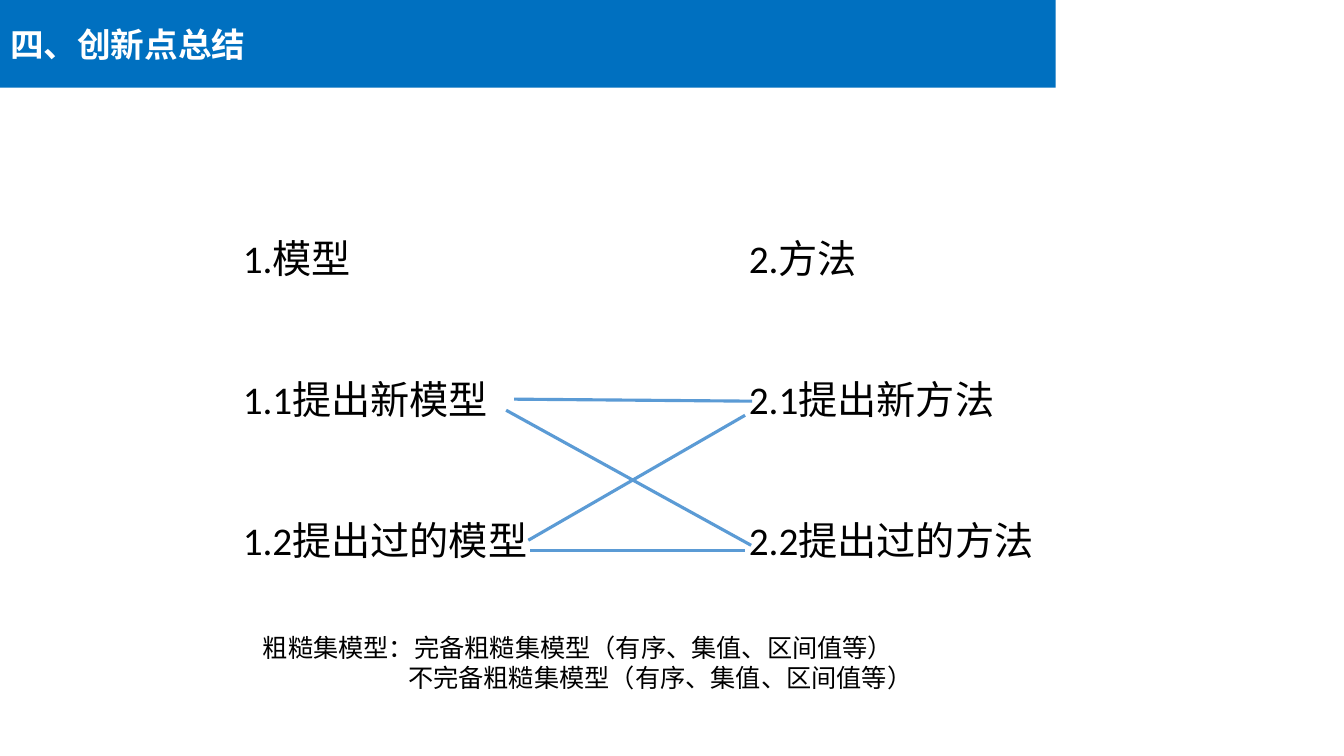
from dataclasses import dataclass

from lxml.etree import SubElement
from pptx import Presentation
from pptx.dml.color import RGBColor
from pptx.enum.shapes import MSO_CONNECTOR
from pptx.enum.text import MSO_ANCHOR, MSO_AUTO_SIZE, PP_ALIGN
from pptx.oxml.ns import qn
from pptx.util import Pt

PX = 9144  # EMU per px, 100 px to the inch


@dataclass(frozen=True)
class Theme:
    font: str = "Calibri"
    banner: RGBColor = RGBColor(0x00, 0x70, 0xC0)
    line: RGBColor = RGBColor(0x5B, 0x9B, 0xD5)
    text: RGBColor = RGBColor(0x00, 0x00, 0x00)
    title_text: RGBColor = RGBColor(0xFF, 0xFF, 0xFF)
    title_size: int = 24
    body_size: int = 28
    note_size: int = 18
    line_width: float = 2.25
    item_gap: int = 67


class SlideBuilder:
    def __init__(self, prs, theme):
        self.theme = theme
        self.s = prs.slides.add_slide(prs.slide_layouts[5])

    def run(self, p, text, size, color, bold=False):
        r = p.add_run()
        r.text = text
        r.font.name = self.theme.font
        r.font.size = Pt(size)
        r.font.bold = bold
        r.font.color.rgb = color

    def title(self, text, x, y, w, h):
        t = self.theme
        sp = self.s.shapes.title
        sp.left, sp.top, sp.width, sp.height = (v * PX for v in (x, y, w, h))
        sp.fill.solid()
        sp.fill.fore_color.rgb = t.banner
        tf = sp.text_frame
        tf.word_wrap = True
        tf.auto_size = MSO_AUTO_SIZE.NONE
        tf.vertical_anchor = MSO_ANCHOR.MIDDLE
        p = tf.paragraphs[0]
        p.alignment = PP_ALIGN.LEFT
        self.run(p, text, t.title_size, t.title_text, bold=True)

    def text(self, lines, x, y, w, h, size, gap=0, indent=0):
        """Add a text box; gap (pt) and indent (px) apply after the first line."""
        sp = self.s.shapes.add_textbox(*(v * PX for v in (x, y, w, h)))
        tf = sp.text_frame
        tf.word_wrap = True
        for i, line in enumerate(lines):
            p = tf.add_paragraph() if i else tf.paragraphs[0]
            if i and gap:
                p.space_before = Pt(gap)
            if i and indent:
                p._p.get_or_add_pPr().set("marL", str(indent * PX))
            self.run(p, line, size, self.theme.text)

    def line(self, x1, y1, x2, y2):
        c = self.s.shapes.add_connector(
            MSO_CONNECTOR.STRAIGHT, *(v * PX for v in (x1, y1, x2, y2)))
        c.line.color.rgb = self.theme.line
        c.line.width = Pt(self.theme.line_width)
        SubElement(c._element.spPr, qn("a:effectLst"))


def main():
    prs = Presentation()
    prs.slide_width, prs.slide_height = 1333 * PX, 750 * PX
    theme = Theme()
    b = SlideBuilder(prs, theme)

    b.title("四、创新点总结", 0, 0, 1047, 87)

    columns = [
        (231, ["1.模型", "1.1提出新模型", "1.2提出过的模型"]),
        (733, ["2.方法", "2.1提出新方法", "2.2提出过的方法"]),
    ]
    for x, items in columns:
        b.text(items, x, 228, 303, 387, theme.body_size, gap=theme.item_gap)

    model_method_links = [
        (502, 407, 745, 541),
        (510, 396, 746, 398),
        (524, 536, 739, 412),
        (526, 546, 739, 546),
    ]
    for link in model_method_links:
        b.line(*link)

    b.text(["粗糙集模型：完备粗糙集模型（有序、集值、区间值等）",
            "不完备粗糙集模型（有序、集值、区间值等）"],
           251, 622, 683, 71, theme.note_size, indent=144)

    prs.save("out.pptx")


if __name__ == "__main__":
    main()
